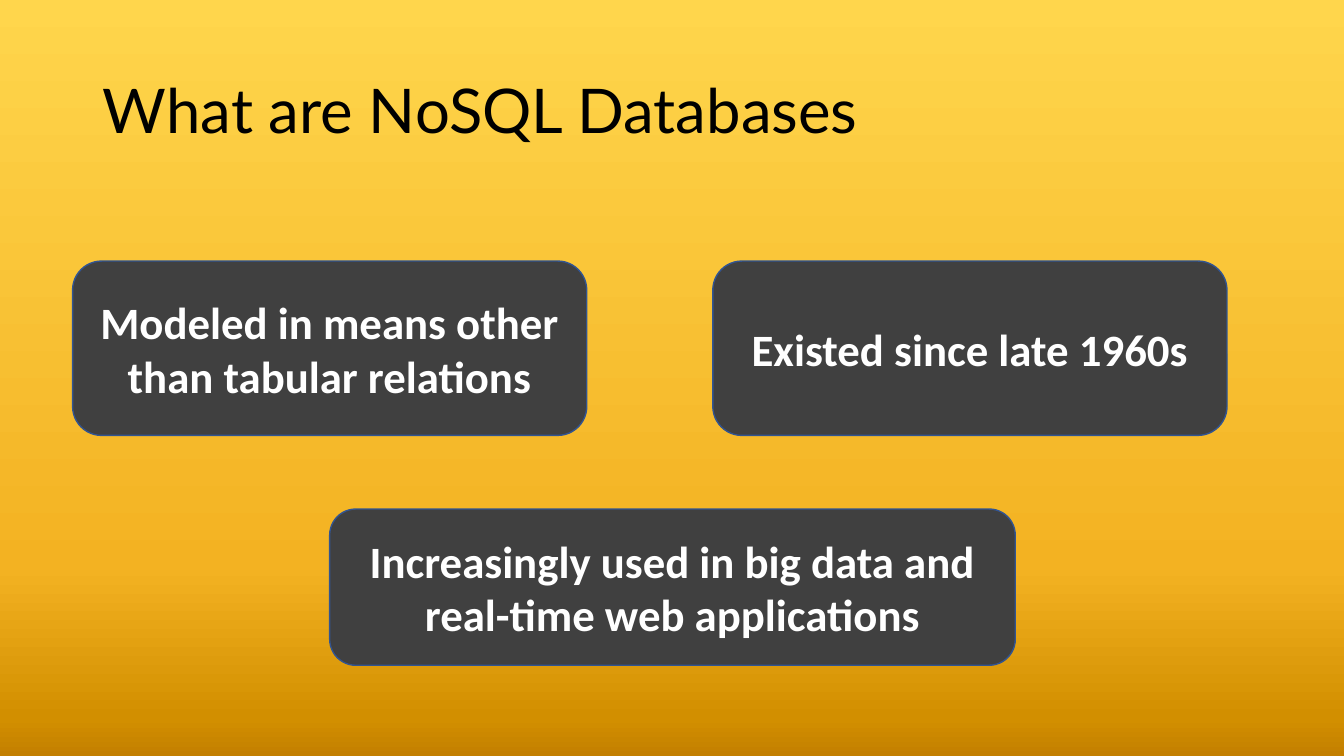
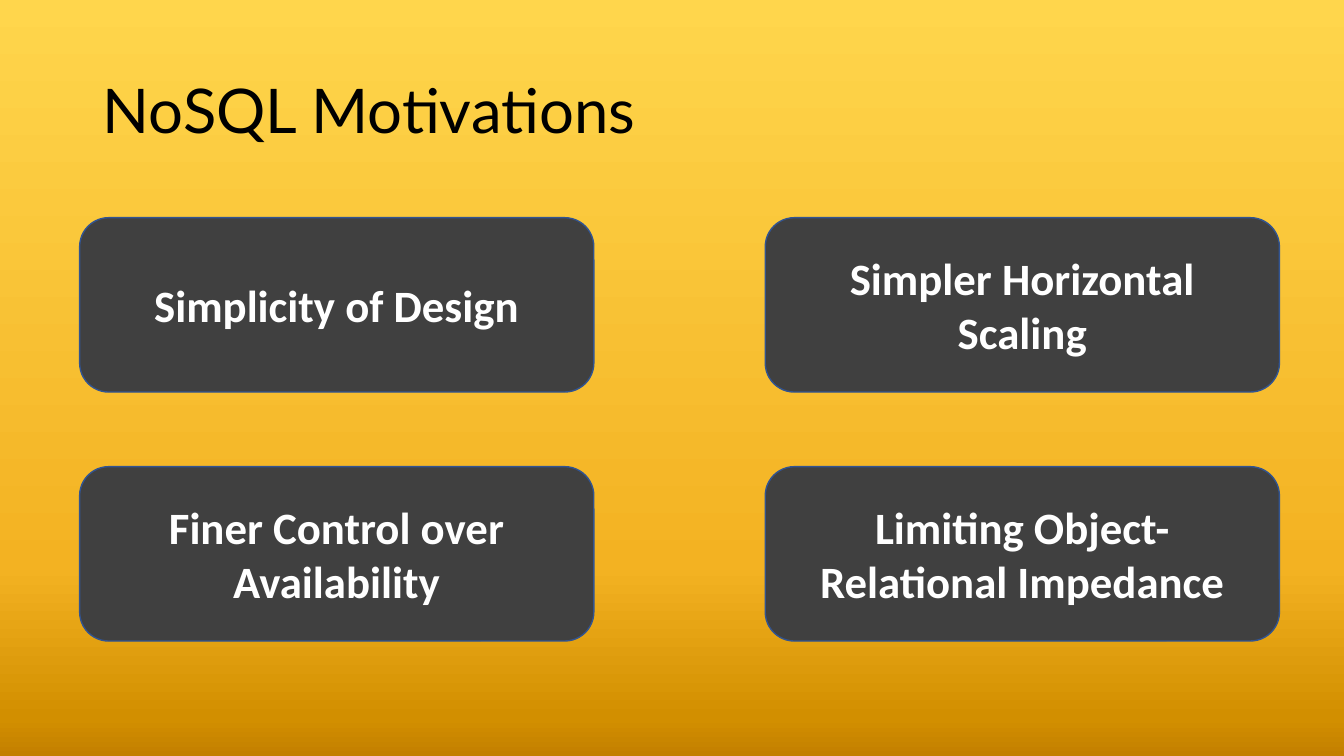
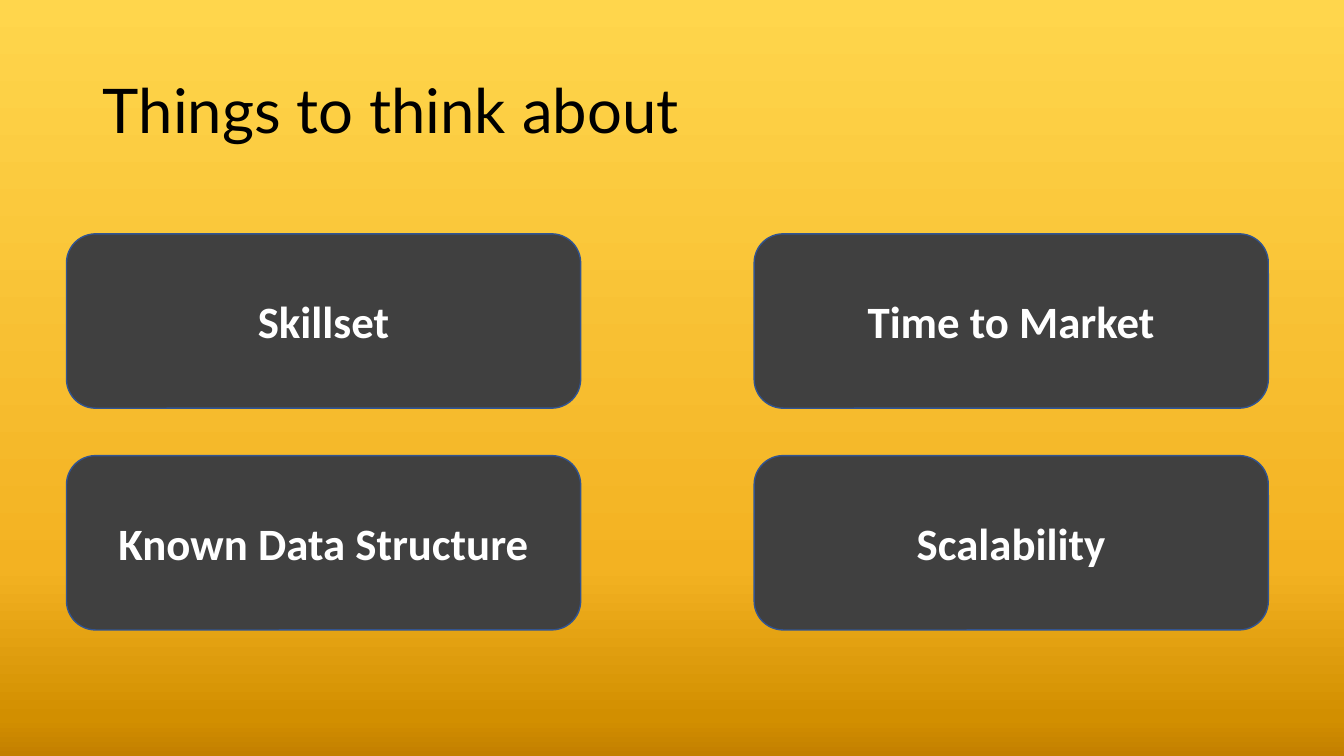
from pptx import Presentation
from pptx.dml.color import RGBColor
from pptx.enum.shapes import MSO_SHAPE
from pptx.enum.text import MSO_ANCHOR, MSO_AUTO_SIZE, PP_ALIGN
from pptx.oxml.ns import qn
from pptx.util import Inches, Pt
from lxml.etree import SubElement

BLACK = RGBColor(0x00, 0x00, 0x00)
WHITE = RGBColor(0xFF, 0xFF, 0xFF)
GRAY = RGBColor(0x40, 0x40, 0x40)
BLUE = RGBColor(0x32, 0x54, 0x91)
STOPS = [
    (0, RGBColor(0xFF, 0xD6, 0x4C)),
    (75, RGBColor(0xF3, 0xB2, 0x22)),
    (95, RGBColor(0xD2, 0x8F, 0x00)),
    (100, RGBColor(0xC3, 0x7F, 0x00)),
]
BOX_W, BOX_H = 5.1, 1.73


def set_theme(deck, layout):
    """Give the master its gradient and the layout its title place."""
    master = deck.slide_master
    fill = master.background.fill
    fill.gradient()
    fill.gradient_angle = 270
    stops = master.element.find(".//" + qn("p:bg")).find(".//" + qn("a:gsLst"))
    stops.clear()
    for percent, color in STOPS:
        stop = SubElement(stops, qn("a:gs"), pos=str(percent * 1000))
        SubElement(stop, qn("a:srgbClr"), val=str(color))
    place(layout.placeholders[0], 0.92, 0.4, 11.5, 1.45)


def place(shape, left, top, width, height):
    shape.left, shape.top = Inches(left), Inches(top)
    shape.width, shape.height = Inches(width), Inches(height)


def write(shape, text, *, size, face, color, bold=False,
          align=PP_ALIGN.LEFT, spacing=1.0):
    frame = shape.text_frame
    frame.text = text
    frame.word_wrap = True
    frame.auto_size = MSO_AUTO_SIZE.NONE
    frame.vertical_anchor = MSO_ANCHOR.MIDDLE
    line = frame.paragraphs[0]
    line.alignment = align
    line.line_spacing = spacing
    font = line.runs[0].font
    font.size, font.name, font.bold = Pt(size), face, bold
    font.color.rgb = color


def add_slide(deck, layout, title):
    slide = deck.slides.add_slide(layout)
    write(slide.shapes.title, title, size=44, face="Lato", color=BLACK,
          spacing=0.9)
    return slide


def add_box(slide, text, left, top, width=BOX_W, height=BOX_H):
    box = slide.shapes.add_shape(
        MSO_SHAPE.ROUNDED_RECTANGLE, Inches(left), Inches(top),
        Inches(width), Inches(height))
    box.shadow.inherit = False
    box.fill.solid()
    box.fill.fore_color.rgb = GRAY
    box.line.color.rgb = BLUE
    box.line.width = Pt(1)
    write(box, text, size=32, face="Calibri", color=WHITE, bold=True,
          align=PP_ALIGN.CENTER)


def add_grid(slide, texts, left, top, step_x, step_y=0):
    """Lay boxes out in two columns, row by row."""
    for i, text in enumerate(texts):
        row, col = divmod(i, 2)
        add_box(slide, text, left + col * step_x, top + row * step_y)


def main():
    deck = Presentation()
    deck.slide_width, deck.slide_height = Inches(13.33), Inches(7.5)
    layout = deck.slide_layouts.get_by_name("Title Only")
    set_theme(deck, layout)

    slide = add_slide(deck, layout, "What are NoSQL Databases")
    add_grid(slide, ["Modeled in means other than tabular relations",
                     "Existed since late 1960s"], 0.72, 2.59, 6.35)
    add_box(slide,
            "Increasingly used in big data and real-time web applications",
            3.27, 5.05, 6.8, 1.55)

    slide = add_slide(deck, layout, "NoSQL Motivations")
    add_grid(slide, ["Simplicity of Design", "Simpler Horizontal Scaling",
                     "Finer Control over Availability",
                     "Limiting Object-Relational Impedance"],
             0.79, 2.16, 6.8, 2.47)

    slide = add_slide(deck, layout, "Things to think about")
    add_grid(slide, ["Skillset", "Time to Market",
                     "Known Data Structure", "Scalability"],
             0.66, 2.32, 6.82, 2.2)

    deck.save("out.pptx")


if __name__ == "__main__":
    main()
